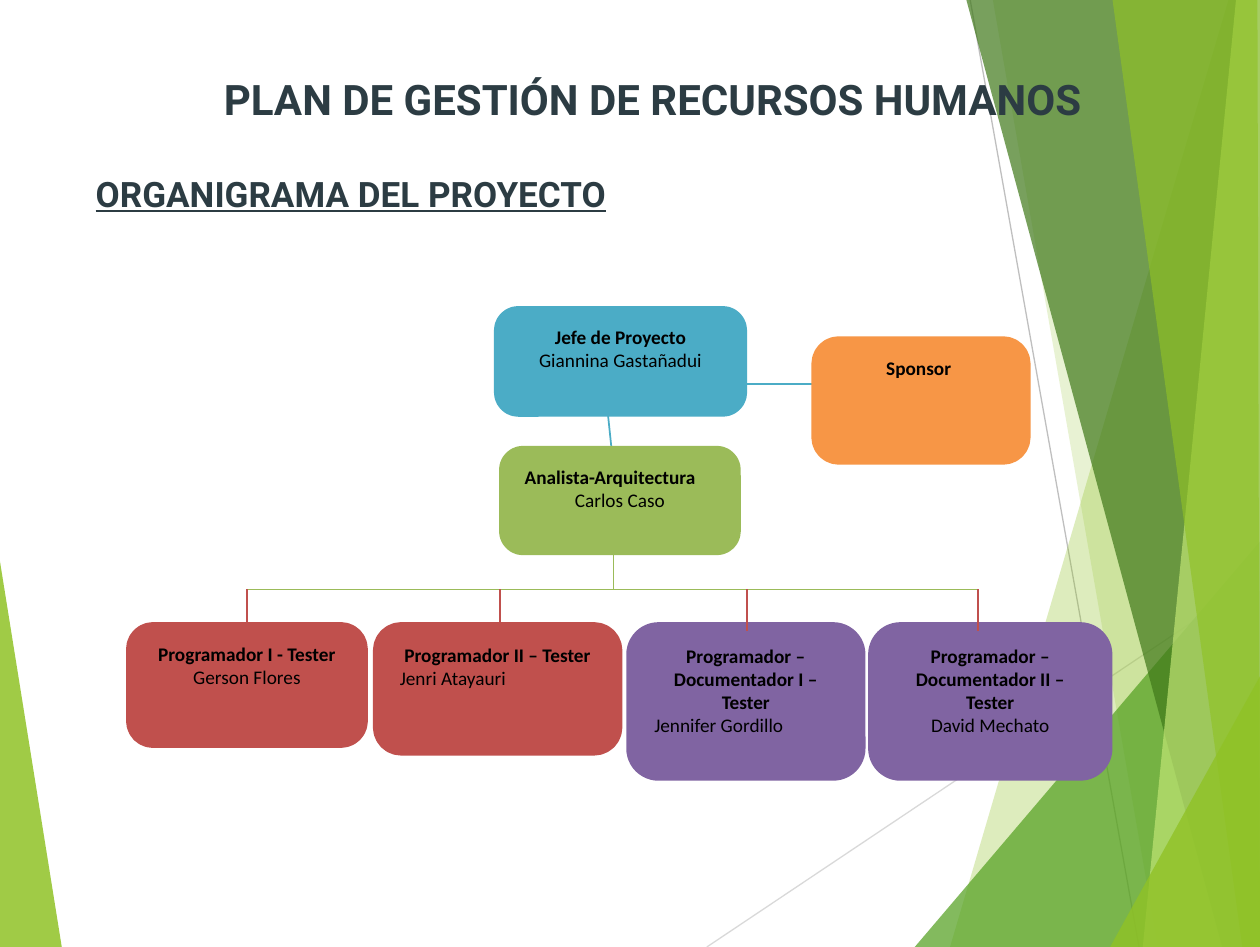
import pptx
import pptx.dml.color
import pptx.enum.shapes
import pptx.enum.text
import pptx.oxml.ns
import pptx.util
from lxml import etree

PX = 9144
COLORS = {
    "dark": "2C3C43", "black": "000000",
    "blue": "4BACC6", "orange": "F79646", "olive": "9BBB59",
    "red": "C0504D", "purple": "8064A2",
    "lime": "90C226", "leaf": "54A021", "forest": "3F7819", "pale": "C0E474",
    "silver": "D9D9D9", "gray": "BFBFBF",
}
LEFT_FACET = ("lime", 85, [(0, 446), (49, 752), (0, 752)])
RIGHT_FACETS = [
    ("lime", 30, [(975, 0), (754, 752), (1000, 752), (1000, 0)]),
    ("lime", 20, [(788, 0), (919, 752), (1000, 752), (1000, 0)]),
    ("leaf", 72, [(726, 752), (1000, 430), (1000, 752)]),
    ("forest", 70, [(767, 0), (970, 752), (1000, 752), (1000, 0)]),
    ("pale", 70, [(981, 0), (907, 752), (1000, 752), (1000, 0)]),
    ("lime", 65, [(883, 0), (986, 752), (1000, 752), (998, 0)]),
    ("lime", 80, [(881, 752), (1000, 537), (1000, 752)]),
]
CENTER = pptx.enum.text.PP_ALIGN.CENTER
LEFT = pptx.enum.text.PP_ALIGN.LEFT
LEADERS = [
    ("orange", (651, 274, 160, 88), [("Sponsor ", CENTER)]),
    ("olive", (403, 361, 178, 73), [("Analista-Arquitectura", LEFT), ("Carlos Caso", CENTER)]),
]
TEAM_TOP = 501
TEAM = [
    ("purple", 696, 180, 112, "Programador –Documentador II – Tester", "David Mechato", CENTER),
    ("purple", 504, 176, 112, "Programador –Documentador I – Tester", "Jennifer Gordillo", LEFT),
    ("red", 303, 184, 92, "Programador II – Tester", "Jenri Atayauri", LEFT),
    ("red", 107, 178, 86, "Programador I - Tester", "Gerson Flores", CENTER),
]
BRANCHES = [196, 397, 593, 776]
BUS = 468


def rgb(name):
    return pptx.dml.color.RGBColor.from_string(COLORS[name])


def emu(lengths):
    return [length * PX for length in lengths]


def style_font(para, font_name, size, color, bold):
    font = para.font
    font.name = font_name
    font.size = pptx.util.Pt(size)
    font.color.rgb = rgb(color)
    font.bold = bold


def add_facet(page, color, opacity, points):
    builder = page.shapes.build_freeform(*points[0], scale=PX)
    builder.add_line_segments(points[1:], close=True)
    facet = builder.convert_to_shape()
    facet.shadow.inherit = False
    facet.line.fill.background()
    facet.fill.solid()
    facet.fill.fore_color.rgb = rgb(color)
    tone = next(facet.element.iter(pptx.oxml.ns.qn("a:srgbClr")))
    etree.SubElement(tone, pptx.oxml.ns.qn("a:alpha"), val=str(opacity * 1000))


def add_line(page, color, ends, width=1):
    line = page.shapes.add_connector(pptx.enum.shapes.MSO_CONNECTOR.STRAIGHT, *emu(ends))
    line.line.color.rgb = rgb(color)
    line.line.width = pptx.util.Pt(width)
    etree.SubElement(line.element.spPr, pptx.oxml.ns.qn("a:effectLst"))


def add_role(page, color, bounds, lines):
    box = page.shapes.add_shape(pptx.enum.shapes.MSO_SHAPE.ROUNDED_RECTANGLE, *emu(bounds))
    box.shadow.inherit = False
    box.fill.solid()
    box.fill.fore_color.rgb = rgb(color)
    box.line.color.rgb = rgb(color)
    box.line.width = pptx.util.Pt(10)
    frame = box.text_frame
    frame.word_wrap = True
    frame.vertical_anchor = pptx.enum.text.MSO_ANCHOR.TOP
    frame.text = "\n".join(text for text, _ in lines)
    for index, (para, (_, alignment)) in enumerate(zip(frame.paragraphs, lines)):
        para.alignment = alignment
        style_font(para, "Calibri", 11, "black", index == 0)


def fill_heading(holder, text, bounds, size, alignment):
    holder.left, holder.top, holder.width, holder.height = emu(bounds)
    holder.element.getparent().append(holder.element)
    frame = holder.text_frame
    frame.text = text
    frame.word_wrap = True
    frame.auto_size = pptx.enum.text.MSO_AUTO_SIZE.NONE
    frame.vertical_anchor = pptx.enum.text.MSO_ANCHOR.TOP
    para = frame.paragraphs[0]
    para.alignment = alignment
    para.space_before = pptx.util.Pt(0)
    style_font(para, "Roboto", size, "dark", True)
    return para


def add_backdrop(page):
    add_facet(page, *LEFT_FACET)
    add_line(page, "silver", (561, 752, 1000, 458), 0.75)
    add_line(page, "gray", (770, 0, 904, 752), 0.75)
    for facet in RIGHT_FACETS:
        add_facet(page, *facet)


def add_headings(page):
    fill_heading(page.shapes.title, "PLAN DE GESTIÓN DE RECURSOS HUMANOS",
                 (128, 53, 780, 81), 24, CENTER)
    subtitle = fill_heading(page.placeholders[1], "ORGANIGRAMA DEL PROYECTO",
                            (66, 132, 606, 44), 20, LEFT)
    subtitle.font.underline = True
    properties = subtitle._p.get_or_add_pPr()
    properties.set("marL", "0")
    properties.set("indent", "0")
    etree.SubElement(properties, pptx.oxml.ns.qn("a:buNone"))
    properties.append(properties.find(pptx.oxml.ns.qn("a:defRPr")))


def add_organigram(page):
    add_role(page, "blue", (399, 250, 187, 74),
             [("Jefe de Proyecto", CENTER), ("Giannina Gastañadui", CENTER)])
    add_line(page, "blue", (569, 305, 658, 305))
    add_line(page, "blue", (482, 324, 487, 372))
    for role in LEADERS:
        add_role(page, *role)
    add_line(page, "olive", (487, 435, 487, BUS))
    add_line(page, "olive", (BRANCHES[0], BUS, BRANCHES[-1], BUS))
    for color, left, width, height, duty, person, alignment in TEAM:
        add_role(page, color, (left, TEAM_TOP, width, height),
                 [(duty, CENTER), (person, alignment)])
    for x in BRANCHES:
        add_line(page, "red", (x, BUS, x, TEAM_TOP))


def main():
    deck = pptx.Presentation()
    deck.slide_width = pptx.util.Inches(10)
    deck.slide_height = pptx.util.Cm(19.1)
    page = deck.slides.add_slide(deck.slide_layouts[1])
    add_backdrop(page)
    add_headings(page)
    add_organigram(page)
    deck.save("out.pptx")


if __name__ == "__main__":
    main()
